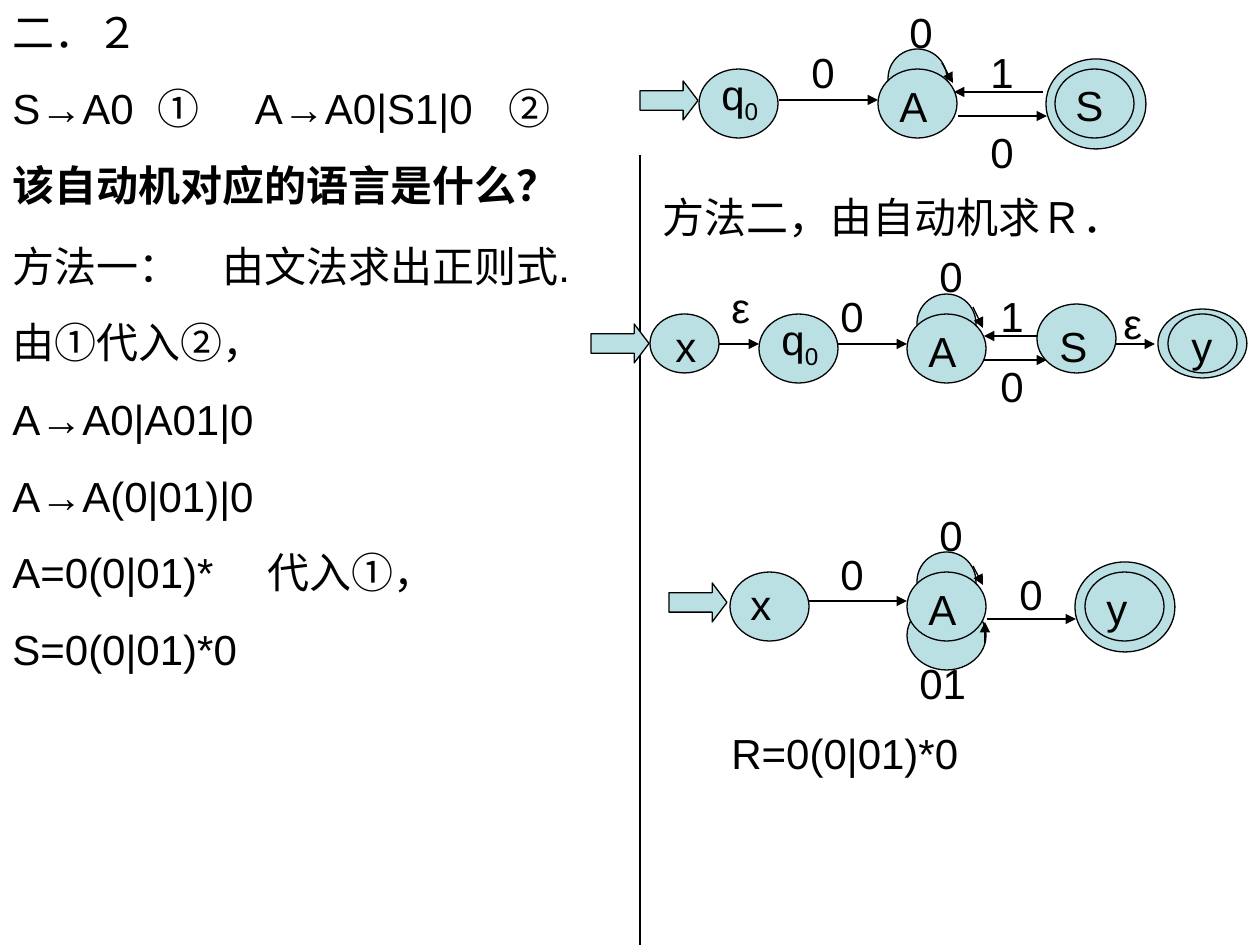
from pptx import Presentation
from pptx.util import Emu, Pt
from pptx.dml.color import RGBColor
from pptx.enum.shapes import MSO_SHAPE as Shape, MSO_CONNECTOR as Conn
from pptx.enum.text import MSO_ANCHOR as Anchor, PP_ALIGN as Align
from pptx.oxml.ns import qn
from lxml.etree import SubElement as Sub

PX = 914400 // 126
INK, FILL = "000000", "BBE0E3"
FONT, CJK = "Arial", "Noto Sans CJK KR"
PARA = {"alignment": Align.LEFT, "space_before": Pt(15), "line_spacing": Pt(28.8)}
FRAME = {"word_wrap": True, "vertical_anchor": Anchor.TOP}

# Text blocks: box, bold line numbers, lines
NOTES = [
    ((0, 0, 1226, 217), {2},
     ["二．２", "S→A0  ①     A→A0|S1|0   ②", "该自动机对应的语言是什么？"]),
    ((0, 234, 660, 523), set(),
     ["方法一：　由文法求出正则式.", "由①代入②，", "A→A0|A01|0",
      "A→A(0|01)|0", "A=0(0|01)* 　代入①，", "S=0(0|01)*0"]),
    ((650, 185, 496, 63), set(), ["方法二，由自动机求Ｒ．"]),
    ((719, 721, 456, 190), set(), ["R=0(0|01)*0"]),
]
DIVIDER = (640, 155, 640, 945)

# State: name, circle, outer ring, label corner
BIG, SMALL, LOOP, RING = (79, 69), (69, 59), (59, 59), (100, 90)
AUTOMATA = [
    {"loops": [(888, 49, *LOOP)],
     "under": [],
     "states": [("q_0", (699, 69, *BIG), None, (709, 69)),
                ("A", (878, 69, *BIG), None, (887, 74)),
                ("S", (1055, 69, *BIG), (1046, 59, *RING), (1063, 73))],
     "entry": (640, 81),
     "over": [(779, 100, 878, 100), (958, 116, 1047, 116),
              (1043, 92, 954, 92), (942, 63, 953, 83)],
     "labels": [("0", 799, 40, 49), ("0", 978, 120, 49),
                ("1", 978, 40, 49), ("0", 897, 0, 49)]},
    {"loops": [(917, 294, *LOOP)],
     "under": [(958, 360, 1047, 360), (1074, 336, 984, 336), (809, 344, 907, 344)],
     "states": [("q_0", (759, 314, *BIG), None, (769, 314)),
                ("A", (907, 314, *BIG), None, (916, 319)),
                ("S", (1037, 304, *BIG), None, (1047, 314)),
                ("y", (1168, 314, *SMALL), (1158, 309, 89, 69), (1179, 314)),
                ("x", (650, 314, *SMALL), None, (663, 314))],
     "entry": (591, 324),
     "over": [(973, 307, 983, 328), (719, 344, 759, 344), (1116, 344, 1155, 344)],
     "labels": [("0", 828, 284, 49), ("0", 988, 354, 49), ("1", 988, 284, 49),
                ("0", 927, 244, 49), ("ε", 719, 275, 40), ("ε", 1111, 291, 40)]},
    {"loops": [(907, 601, *BIG), (917, 552, *LOOP)],
     "under": [],
     "states": [("x", (730, 572, *BIG), None, (738, 572)),
                ("A", (907, 572, *BIG), None, (916, 577)),
                ("y", (1085, 572, *BIG), (1075, 562, *RING), (1094, 576))],
     "entry": (669, 583),
     "over": [(809, 601, 907, 601), (987, 619, 1076, 619),
              (973, 566, 983, 585), (985, 643, 985, 622)],
     "labels": [("0", 828, 542, 49), ("0", 1007, 562, 49),
                ("0", 927, 503, 49), ("01", 907, 651, 79)]},
]


def emu(box):
    return [Emu(v * PX) for v in box]


def paint(part, hue):
    part.rgb = RGBColor.from_string(hue)


def assign(part, values):
    for key, value in values.items():
        setattr(part, key, value)


def stroke(line):
    line.fill.solid()
    paint(line.fill.fore_color, INK)
    line.width = Pt(0.74)


def solid(home, kind, box):
    shape = home.add_shape(kind, *emu(box))
    shape.shadow.inherit = False
    shape.fill.solid()
    paint(shape.fill.fore_color, FILL)
    stroke(shape.line)
    return shape


def line(home, ends, head=True):
    link = home.add_connector(Conn.STRAIGHT, *emu(ends))
    stroke(link.line)
    if head:
        Sub(link.line._get_or_add_ln(), qn("a:tailEnd"), type="triangle")
    Sub(link._element.spPr, qn("a:effectLst"))


def add_run(para, words, bold=False, name=FONT, base=None):
    run = para.add_run()
    run.text = words
    assign(run.font, {"size": Pt(24), "name": name, "bold": bold})
    paint(run.font.color, INK)
    props = run._r.get_or_add_rPr()
    Sub(props, qn("a:ea"), typeface=FONT)
    if base:
        props.set("baseline", base)


def write(home, box, lines, bold=()):
    frame = home.add_textbox(*emu(box)).text_frame
    assign(frame, FRAME)
    for i, words in enumerate(lines):
        para = frame.paragraphs[0] if i == 0 else frame.add_paragraph()
        assign(para, PARA)
        main, _, low = words.partition("_")
        # Circled numbers beside Latin text use the CJK font
        if main.startswith("S→"):
            for mark in "①②":
                main = main.replace(mark, f"\n{mark}\n")
        for part in filter(None, main.split("\n")):
            add_run(para, part, i in bold, CJK if part in "①②" else FONT)
        if low:
            add_run(para, low, base="-25000")


deck = Presentation()
deck.slide_width, deck.slide_height = emu((1260, 945))
page = deck.slides.add_slide(deck.slide_layouts[6]).shapes

for box, bold, lines in NOTES:
    write(page, box, lines, bold)
line(page, DIVIDER, head=False)

# Automata, one group each
for auto in AUTOMATA:
    home = page.add_group_shape().shapes
    for ends in auto["under"]:
        line(home, ends)
    for box in auto["loops"]:
        solid(home, Shape.OVAL, box)
    for name, disc, ring, spot in auto["states"]:
        for box in filter(None, (ring, disc)):
            solid(home, Shape.OVAL, box)
        write(home, (*spot, 79, 63), [name])
    entry = solid(home, Shape.RIGHT_ARROW, (*auto["entry"], 58, 39))
    entry.adjustments[1] = 0.38
    for ends in auto["over"]:
        line(home, ends)
    for words, x, y, wide in auto["labels"]:
        write(home, (x, y, wide, 63), [words])

deck.save("out.pptx")
